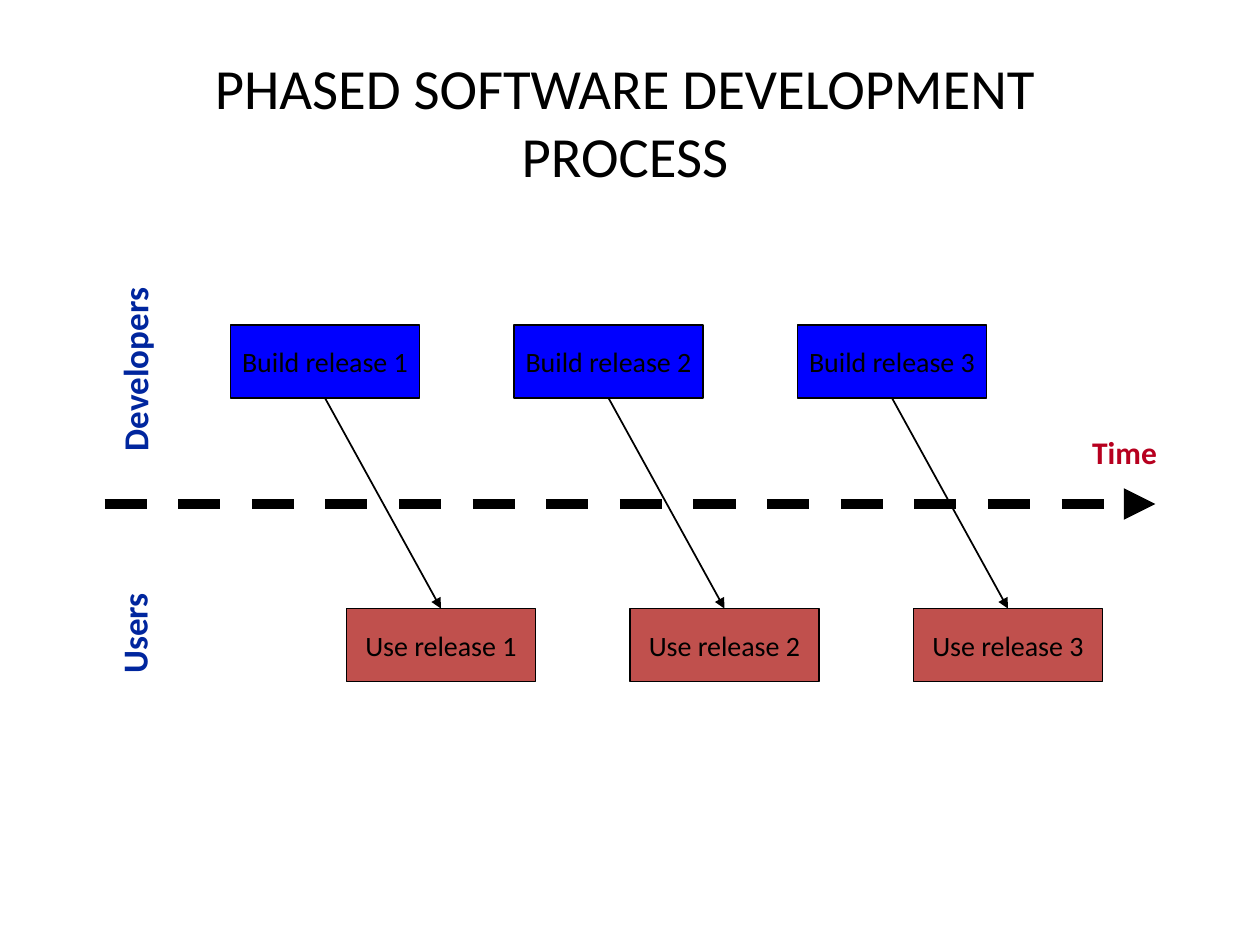
"""Build a slide showing a phased software development process."""
from typing import NamedTuple

from pptx import Presentation
from pptx.dml.color import RGBColor
from pptx.enum.dml import MSO_LINE_DASH_STYLE as DASH
from pptx.enum.shapes import MSO_CONNECTOR as CONN, MSO_SHAPE as SHAPE
from pptx.enum.text import MSO_ANCHOR as ANCHOR, MSO_AUTO_SIZE as AUTO, PP_ALIGN as ALIGN
from pptx.oxml.ns import qn
from pptx.util import Inches, Pt

BLACK = RGBColor(0x00, 0x00, 0x00)
BLUE = RGBColor(0x00, 0x00, 0xFF)
BRICK = RGBColor(0xC0, 0x50, 0x4D)
NAVY = RGBColor(0x00, 0x26, 0x9E)
CRIMSON = RGBColor(0xB7, 0x00, 0x1F)

BOX_W, BOX_H, PITCH = 1.5, 0.58, 2.25
RELEASES = 3


class Row(NamedTuple):
    verb: str
    left: float
    top: float
    fill: RGBColor


class Label(NamedTuple):
    text: str
    left: float
    top: float
    width: float
    height: float
    size: float
    color: RGBColor
    rotation: float = 0


BUILD = Row("Build", 1.83, 2.58, BLUE)
USE = Row("Use", 2.75, 4.83, BRICK)
LABELS = [
    Label("Time", 8.57, 3.39, 0.76, 0.4, 18, CRIMSON),
    Label("Developers", 0.31, 2.71, 1.51, 0.43, 20, NAVY, 270),
    Label("Users", 0.63, 4.8, 0.86, 0.43, 20, NAVY, 270),
]


def write(tf, text: str, *, size: float, color: RGBColor = BLACK, bold: bool = False,
          align=ALIGN.CENTER, anchor=ANCHOR.MIDDLE, wrap: bool = False,
          auto=AUTO.NONE) -> None:
    tf.word_wrap, tf.auto_size, tf.vertical_anchor = wrap, auto, anchor
    p = tf.paragraphs[0]
    p.alignment = align
    r = p.add_run()
    r.text = text
    r.font.name, r.font.size, r.font.bold = "Calibri", Pt(size), bold
    r.font.color.rgb = color


def add_title(s, text: str) -> None:
    sp = s.shapes.title
    sp.left, sp.top, sp.width, sp.height = map(Inches, (0.75, 0.67, 8.42, 0.58))
    write(sp.text_frame, text, size=32.4, wrap=True)


def add_box(s, row: Row, index: int) -> None:
    box = (row.left + index * PITCH, row.top, BOX_W, BOX_H)
    sp = s.shapes.add_shape(SHAPE.RECTANGLE, *map(Inches, box))
    sp.shadow.inherit = False
    sp.fill.solid()
    sp.fill.fore_color.rgb = row.fill
    sp.line.color.rgb, sp.line.width = BLACK, Pt(1)
    write(sp.text_frame, f"{row.verb} release {index + 1}", size=16)


def add_label(s, label: Label) -> None:
    box = (label.left, label.top, label.width, label.height)
    sp = s.shapes.add_textbox(*map(Inches, box))
    sp.rotation = label.rotation
    write(sp.text_frame, label.text, size=label.size, color=label.color, bold=True,
          align=ALIGN.LEFT, anchor=ANCHOR.TOP, auto=AUTO.SHAPE_TO_FIT_TEXT)


def add_arrow(s, x1: float, y1: float, x2: float, y2: float, *,
              width: float = 1, dash=None) -> None:
    cxn = s.shapes.add_connector(CONN.STRAIGHT, *map(Inches, (x1, y1, x2, y2)))
    cxn.line.color.rgb, cxn.line.width = BLACK, Pt(width)
    if dash is not None:
        cxn.line.dash_style = dash
    ln = cxn.line._get_or_add_ln()
    ln.append(ln.makeelement(qn("a:tailEnd"), {"type": "triangle"}))
    sp_pr = ln.getparent()
    sp_pr.append(sp_pr.makeelement(qn("a:effectLst"), {}))


def main() -> None:
    prs = Presentation()
    prs.slide_width, prs.slide_height = Inches(10), Inches(7.5)
    s = prs.slides.add_slide(prs.slide_layouts[5])
    add_title(s, "PHASED SOFTWARE DEVELOPMENT PROCESS")
    for i in range(RELEASES):
        add_box(s, BUILD, i)
    add_arrow(s, 0.83, 4, 9.17, 4, width=6, dash=DASH.DASH)
    for i in range(RELEASES):
        add_box(s, USE, i)
    for label in LABELS:
        add_label(s, label)
    for i in range(RELEASES):
        mid = BOX_W / 2 + i * PITCH
        add_arrow(s, BUILD.left + mid, BUILD.top + BOX_H, USE.left + mid, USE.top)
    prs.save("out.pptx")


main()
